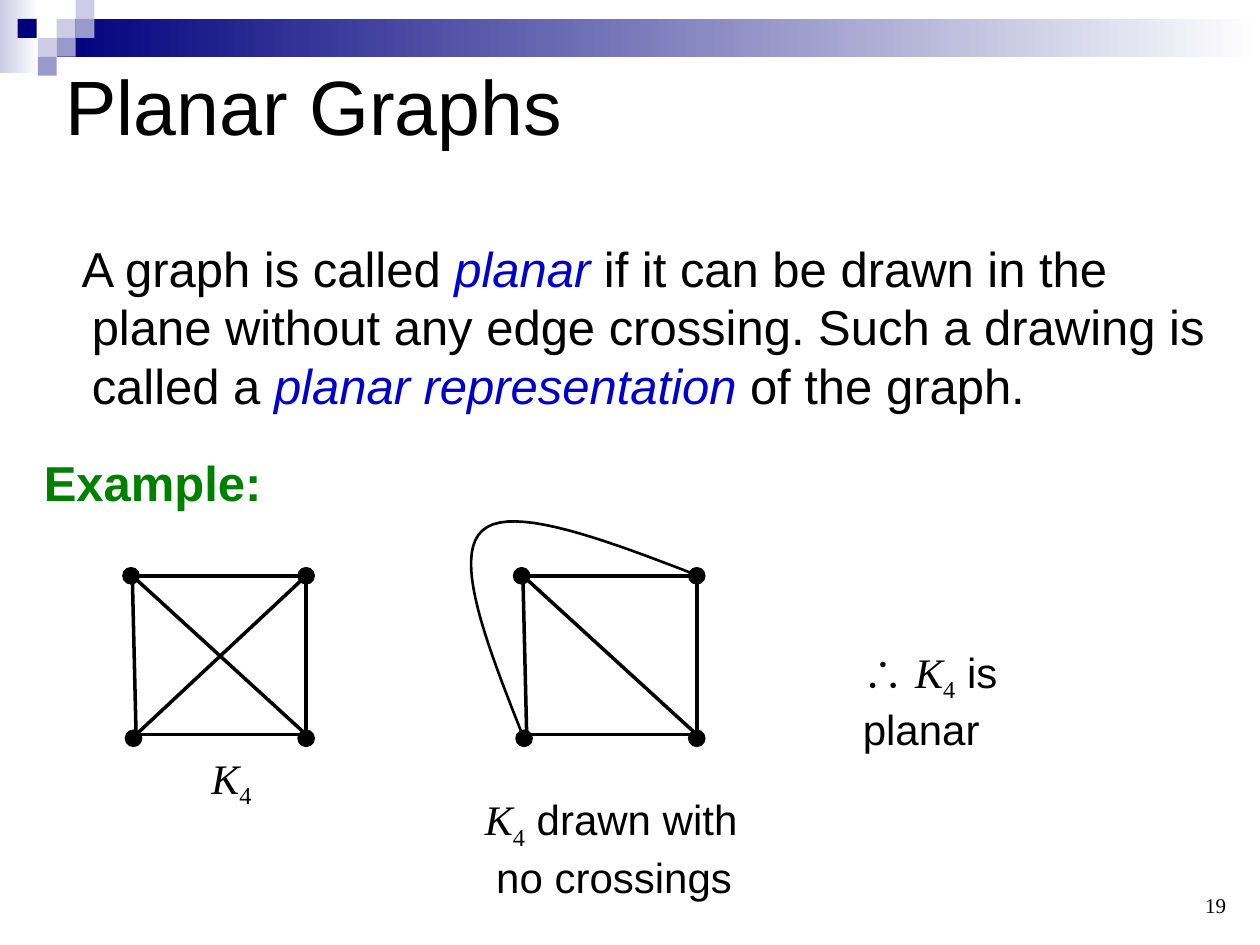
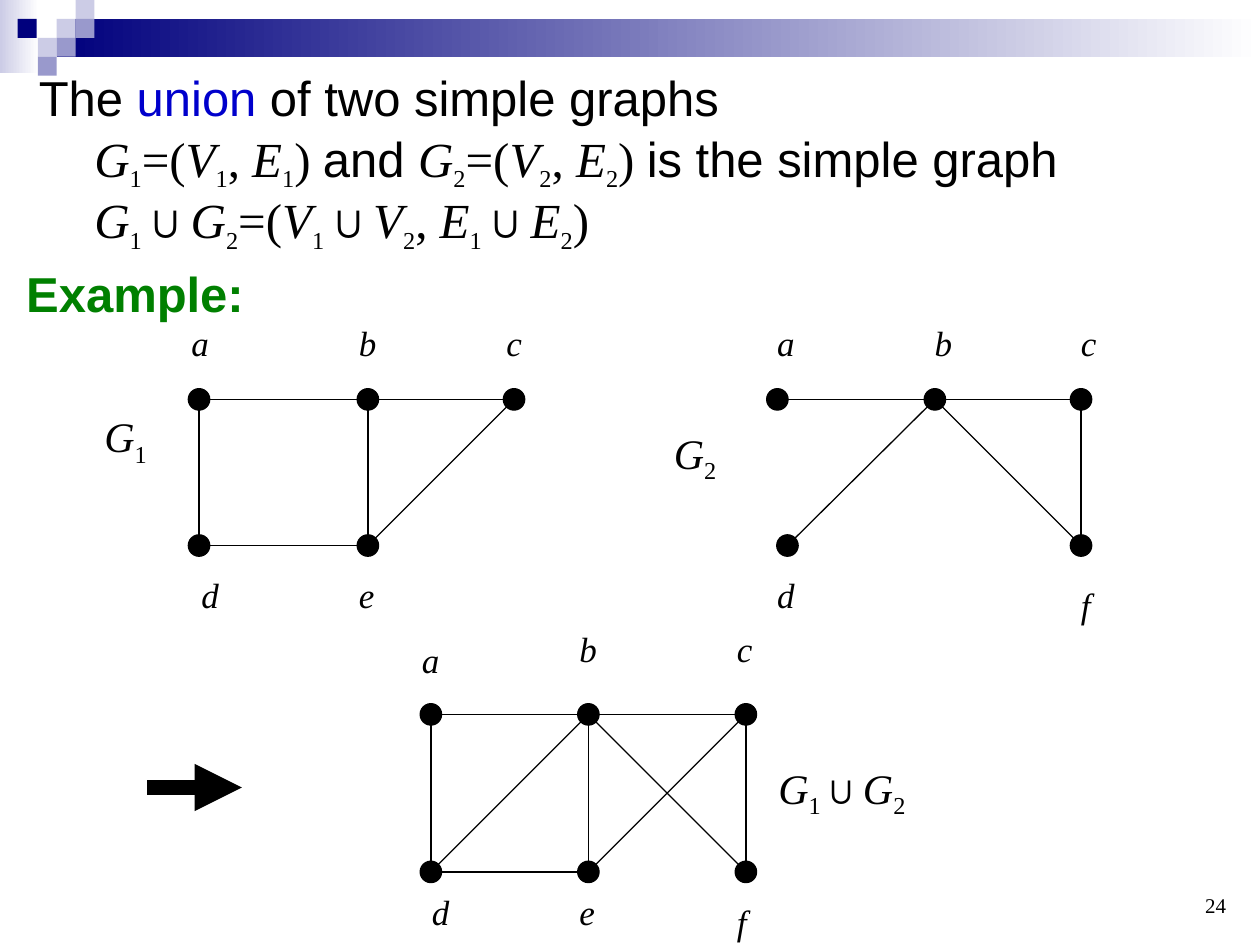
import itertools
from dataclasses import dataclass

import pptx
import pptx.util
from lxml import etree
from pptx.dml.color import RGBColor
from pptx.enum.shapes import MSO_CONNECTOR, MSO_SHAPE
from pptx.enum.text import MSO_ANCHOR, PP_ALIGN
from pptx.oxml.ns import qn

# Slide grid: 10 columns by 7.5 rows of square cells
WIDTH, HEIGHT = pptx.util.Inches(10), pptx.util.Inches(7.5)
CELL = WIDTH / 10
TITLE_ONLY, BLANK = 5, 6

# Colours and fonts
BLACK = RGBColor(0x00, 0x00, 0x00)
WHITE = RGBColor(0xFF, 0xFF, 0xFF)
NAVY = RGBColor(0x00, 0x00, 0x7D)
LAVENDER = RGBColor(0xCC, 0xCC, 0xE6)
PERIWINKLE = RGBColor(0x99, 0x99, 0xCC)
TERM_BLUE = RGBColor(0x00, 0x00, 0xCC)
EXAMPLE_GREEN = RGBColor(0x00, 0x80, 0x00)
SANS, SERIF = "Arial", "Times New Roman"

# Corner mosaic: left, top, colour of each tile
TILE = 0.15
MOSAIC = [
    (0.45, 0.15, LAVENDER), (0.6, 0, LAVENDER), (0.6, 0.15, PERIWINKLE),
    (0.3, 0.3, LAVENDER), (0.14, 0.15, NAVY), (0.45, 0.3, PERIWINKLE),
    (0.3, 0.45, PERIWINKLE),
]


@dataclass
class Run:
    text: str
    size: float = 28
    font: str = SANS
    color: RGBColor = BLACK
    bold: bool = False
    italic: bool = False
    subscript: bool = False


@dataclass
class Paragraph:
    runs: list
    left: float = 0
    first: float = 0
    before: float = 0
    spacing: float = 1.0
    align: PP_ALIGN = PP_ALIGN.LEFT


def cells(*lengths):
    return [round(length * CELL) for length in lengths]


def math_kind(char):
    return "name" if char.isalpha() else "index" if char.isdigit() else "sign"


def math_runs(formula, size=24, index_size=24):
    """Letters become italic and digits become subscripts."""
    runs = []
    for kind, chars in itertools.groupby(formula, math_kind):
        runs.append(Run("".join(chars), index_size if kind == "index" else size, SERIF,
                        italic=kind == "name", subscript=kind == "index"))
    return runs


# Text
def write(frame, paragraphs):
    for number, content in enumerate(paragraphs):
        paragraph = frame.paragraphs[0] if number == 0 else frame.add_paragraph()
        margin, indent = cells(content.left, content.first)
        properties = paragraph._p.get_or_add_pPr()
        properties.set("marL", str(margin))
        properties.set("indent", str(indent))
        paragraph.alignment = content.align
        paragraph.line_spacing = content.spacing
        paragraph.space_before = pptx.util.Pt(content.before)
        for part in content.runs:
            run = paragraph.add_run()
            run.text = part.text
            run.font.size = pptx.util.Pt(part.size)
            run.font.name = part.font
            run.font.color.rgb = part.color
            run.font.bold, run.font.italic = part.bold, part.italic
            if part.subscript:
                run._r.get_or_add_rPr().set("baseline", "-25000")


def add_text(slide, box, *paragraphs, wrap=True, anchor=MSO_ANCHOR.TOP):
    frame = slide.shapes.add_textbox(*cells(*box)).text_frame
    frame.word_wrap = wrap
    frame.vertical_anchor = anchor
    write(frame, paragraphs)


def add_example_heading(slide, left, top):
    heading = Run("Example:", color=EXAMPLE_GREEN, bold=True)
    add_text(slide, (left, top, 3, 0.57), Paragraph([heading]))


# Shared decoration
def add_block(slide, box, *colors):
    block = slide.shapes.add_shape(MSO_SHAPE.RECTANGLE, *cells(*box))
    block.shadow.inherit = False
    block.line.fill.background()
    if len(colors) == 1:
        block.fill.solid()
        block.fill.fore_color.rgb = colors[0]
        return
    block.fill.gradient()
    block.fill.gradient_angle = 0
    for position, (stop, color) in enumerate(zip(block.fill.gradient_stops, colors)):
        stop.position = position
        stop.color.rgb = color


def start_slide(deck, layout, number):
    slide = deck.slides.add_slide(deck.slide_layouts[layout])
    add_block(slide, (0, 0, 0.31, 0.58), LAVENDER, WHITE)
    add_block(slide, (0.45, 0.15, 9.55, 0.3), NAVY, WHITE)
    for left, top, color in MOSAIC:
        add_block(slide, (left, top, TILE, TILE), color)
    page = Run(str(number), 12, SERIF)
    add_text(slide, (7.5, 6.83, 2.33, 0.5), Paragraph([page], align=PP_ALIGN.RIGHT),
             anchor=MSO_ANCHOR.BOTTOM)
    return slide


def set_title(slide, text):
    title = slide.shapes.title
    title.left, title.top, title.width, title.height = cells(0.42, 0.33, 9, 1)
    title.text_frame.vertical_anchor = MSO_ANCHOR.MIDDLE
    write(title.text_frame, [Paragraph([Run(text, 44)])])


# Graph parts
def add_edge(slide, start, end, weight=0.75):
    edge = slide.shapes.add_connector(MSO_CONNECTOR.STRAIGHT, *cells(*start, *end))
    edge.line.color.rgb = BLACK
    edge.line.width = pptx.util.Pt(weight)
    etree.SubElement(edge._element.spPr, qn("a:effectLst"))
    return edge


def add_arrow(slide, start, end):
    arrow = add_edge(slide, start, end, 9)
    etree.SubElement(arrow.line._get_or_add_ln(), qn("a:tailEnd"), type="triangle")


def add_vertex(slide, center, size, kind=MSO_SHAPE.OVAL):
    x, y = center
    vertex = slide.shapes.add_shape(kind, *cells(x - size / 2, y - size / 2, size, size))
    vertex.shadow.inherit = False
    vertex.fill.solid()
    vertex.fill.fore_color.rgb = BLACK
    vertex.line.color.rgb = BLACK
    vertex.line.width = pptx.util.Pt(0.75)


def add_labelled_graph(slide, vertices, edges, labels):
    """Edges are pairs of vertex names; labels give each name's box corner."""
    for start, end in edges.split():
        add_edge(slide, vertices[start], vertices[end])
    for name, center in vertices.items():
        add_vertex(slide, center, 0.17)
        add_text(slide, (*labels[name], 0.34, 0.44),
                 Paragraph(math_runs(name, 20)), wrap=False)


def add_square_graph(slide, left, top, edges):
    """Corners 0 and 1 are on top, 2 and 3 below them."""
    joints = [(0.01, 0), (1.39, 0), (0.04, 1.26), (1.39, 1.26)]
    centers = [(0, 0), (1.39, 0), (0.02, 1.29), (1.39, 1.29)]
    joints, centers = ([(left + x, top + y) for x, y in points]
                       for points in (joints, centers))
    for start, end in edges:
        add_edge(slide, joints[start], joints[end], 2)
    for center in centers:
        add_vertex(slide, center, 0.13, MSO_SHAPE.FLOWCHART_CONNECTOR)


def bezier(controls, steps=20):
    for step in range(1, steps + 1):
        t = step / steps
        weights = ((1 - t) ** 3, 3 * t * (1 - t) ** 2, 3 * t ** 2 * (1 - t), t ** 3)
        yield cells(*(sum(w * value for w, value in zip(weights, axis))
                      for axis in zip(*controls)))


def add_curved_edge(slide, *points):
    builder = slide.shapes.build_freeform(*cells(*points[0]))
    for first in range(0, len(points) - 1, 3):
        builder.add_line_segments(bezier(points[first:first + 4]), close=False)
    curve = builder.convert_to_shape()
    curve.shadow.inherit = False
    curve.fill.background()
    curve.line.color.rgb = BLACK
    curve.line.width = pptx.util.Pt(1.5)


# Slides
def build_planar_slide(deck):
    slide = start_slide(deck, TITLE_ONLY, 19)
    set_title(slide, "Planar Graphs")
    add_text(slide, (0.25, 1.84, 9.42, 1.5), Paragraph([
        Run("A graph is called "),
        Run("planar", color=TERM_BLUE, italic=True),
        Run(" if it can be drawn in the plane without any edge crossing. "
            "Such a drawing is called a "),
        Run("planar representation ", color=TERM_BLUE, italic=True),
        Run("of the graph."),
    ], left=0.38, first=-0.08))
    add_example_heading(slide, 0.25, 3.54)

    # K4 with crossing diagonals, then with one diagonal led outside
    planar_edges = [(0, 1), (0, 2), (0, 3), (1, 3), (2, 3)]
    add_square_graph(slide, 1.04, 4.57, planar_edges + [(1, 2)])
    add_square_graph(slide, 4.14, 4.57, planar_edges)
    add_curved_edge(slide, (5.57, 4.58), (4.82, 4.29), (4.06, 4), (3.83, 4.21),
                    (3.59, 4.42), (3.87, 5.13), (4.15, 5.84))

    # Captions
    k4 = math_runs("K4")
    add_text(slide, (1.58, 5.92, 0.54, 0.51), Paragraph(k4), wrap=False)
    add_text(slide, (3.75, 6.25, 2.24, 0.91),
             Paragraph(k4 + [Run(" drawn with", 24)]),
             Paragraph([Run("no crossings", 24)], left=0.09), wrap=False)
    add_text(slide, (6.75, 5.08, 1.6, 0.91),
             Paragraph(math_runs("∴ K4") + [Run(" is planar", 24)]))


def build_union_slide(deck):
    slide = start_slide(deck, BLANK, 24)
    formula = {"left": 0.65, "before": 5.6, "spacing": 0.8}
    add_text(
        slide, (0, 0.58, 10, 1.5),
        Paragraph([Run("The "), Run("union", color=TERM_BLUE),
                   Run(" of two simple graphs")], left=0.21, spacing=0.8),
        Paragraph(math_runs("G1=(V1, E1) ", 28) + [Run("and ")]
                  + math_runs("G2=(V2, E2) ", 28) + [Run("is the simple graph")],
                  **formula),
        Paragraph(math_runs("G1∪G2=(V1∪V2, E1∪E2)", 28), **formula))
    add_example_heading(slide, 0.11, 2.04)

    # G1 and G2
    top, bottom = 3.17, 4.33
    add_labelled_graph(
        slide,
        {"a": (1.58, top), "b": (2.92, top), "c": (4.08, top),
         "d": (1.58, bottom), "e": (2.92, bottom)},
        "ab bc ad be de ce",
        {"a": (1.42, 2.5), "b": (2.75, 2.5), "c": (3.92, 2.5),
         "d": (1.5, 4.5), "e": (2.75, 4.5)})
    add_labelled_graph(
        slide,
        {"a": (6.17, top), "b": (7.42, top), "c": (8.58, top),
         "d": (6.25, bottom), "f": (8.58, bottom)},
        "ab bc bd bf cf",
        {"a": (6.07, 2.5), "b": (7.32, 2.5), "c": (8.48, 2.5),
         "d": (6.07, 4.5), "f": (8.48, 4.58)})
    for name, left, label_top in (("G1", 0.73, 3.21), ("G2", 5.25, 3.34)):
        add_text(slide, (left, label_top, 0.56, 0.5), Paragraph(math_runs(name)), wrap=False)

    # Their union
    add_arrow(slide, (1.17, 6.25), (1.92, 6.25))
    columns = [3.42 + 1.25 * column for column in range(3)]
    centers = itertools.product((5.67, 6.92), columns)
    add_labelled_graph(
        slide,
        {name: (x, y) for name, (y, x) in zip("abcdef", centers)},
        "ab bc ad be cf de bd bf ce",
        {"a": (3.25, 5.02), "b": (4.5, 4.93), "c": (5.75, 4.93),
         "d": (3.33, 7.02), "e": (4.5, 7.02), "f": (5.75, 7.1)})
    union_sign = Run("∪", 24, SERIF, bold=True)
    add_text(slide, (6.08, 6, 1.3, 0.5),
             Paragraph(math_runs("G1") + [union_sign] + math_runs("G2")), wrap=False)


def main():
    deck = pptx.Presentation()
    deck.slide_width, deck.slide_height = WIDTH, HEIGHT
    build_planar_slide(deck)
    build_union_slide(deck)
    deck.save("out.pptx")


if __name__ == "__main__":
    main()
